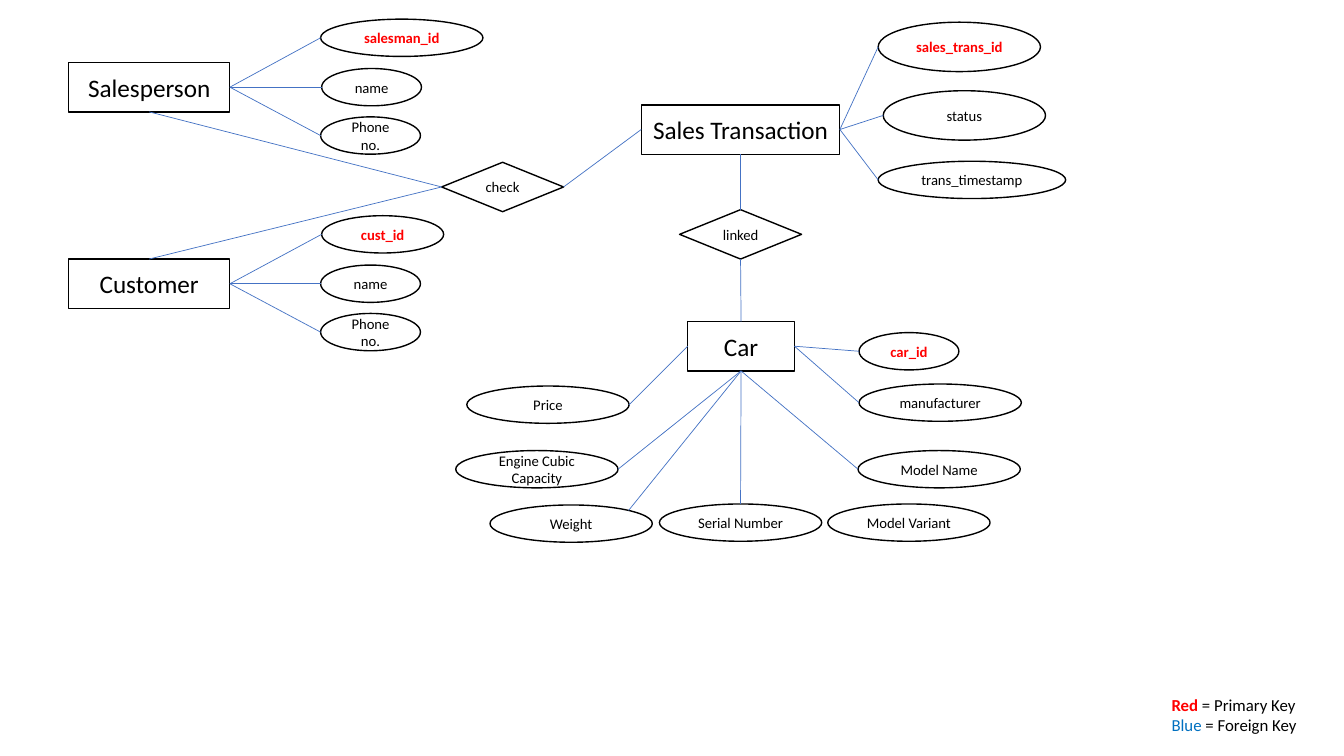
from pptx import Presentation
from pptx.dml.color import RGBColor
from pptx.enum.shapes import MSO_CONNECTOR, MSO_SHAPE
from pptx.enum.text import MSO_ANCHOR, PP_ALIGN
from pptx.util import Inches, Pt
from lxml import etree

RECT, OVAL = MSO_SHAPE.RECTANGLE, MSO_SHAPE.OVAL
DIAMOND = MSO_SHAPE.FLOWCHART_DECISION
STRAIGHT = MSO_CONNECTOR.STRAIGHT
CENTER, LEFT, MIDDLE = PP_ALIGN.CENTER, PP_ALIGN.LEFT, MSO_ANCHOR.MIDDLE
DML = "http://schemas.openxmlformats.org/drawingml/2006/main"

THEME = {
    "font": "Calibri", "entity": 18, "label": 10.5, "legend": 12,
    "ink": "000000", "paper": "FFFFFF", "link": "4472C4",
    "primary": "FF0000", "foreign": "0070C0",
    "border": 1, "thin": 0.5,
}

# Place of each link site as a share of width and height
SITES = {"top": (0.5, 0), "left": (0, 0.5), "bottom": (0.5, 1),
         "right": (1, 0.5), "corner": (0.854, 0.146)}
FOUR = {"top": 0, "left": 1, "bottom": 2, "right": 3}
EIGHT = {"top": 0, "left": 2, "bottom": 4, "right": 6, "corner": 7}

deck = Presentation()
deck.slide_width, deck.slide_height = Inches(13.33), Inches(7.5)
slide = deck.slides.add_slide(deck.slide_layouts[6])


def write(text, size="label", color="ink", bold=False, align=CENTER,
          kind=None, box=None, para=None):
    """Write a run into para, or into a new shape or text box; return the shape."""
    shape = None
    if para is None:
        place = [Inches(v) for v in box]
        if kind is None:
            shape = slide.shapes.add_textbox(*place)
        else:
            shape = slide.shapes.add_shape(kind, *place)
            shape.shadow.inherit = False
            shape.fill.solid()
            shape.fill.fore_color.rgb = RGBColor.from_string(THEME["paper"])
            shape.line.color.rgb = RGBColor.from_string(THEME["ink"])
            shape.line.width = Pt(THEME["border"])
            shape.text_frame.vertical_anchor = MIDDLE
        shape.text_frame.word_wrap = True
        para = shape.text_frame.paragraphs[0]
    para.alignment = align
    run = para.add_run()
    run.text = text
    run.font.name = THEME["font"]
    run.font.size = Pt(THEME[size])
    run.font.bold = bold
    run.font.color.rgb = RGBColor.from_string(THEME[color])
    return shape


def link(start, side, end, to):
    """Glue a thin line from one shape's site to another's."""
    (ax, ay), (bx, by) = [
        (int(s.left + s.width * SITES[p][0]), int(s.top + s.height * SITES[p][1]))
        for s, p in ((start, side), (end, to))]
    line = slide.shapes.add_connector(STRAIGHT, ax, ay, bx, by)
    line.begin_connect(start, FOUR[side])
    line.end_connect(end, 0)
    sites = EIGHT if end.auto_shape_type == OVAL else FOUR
    line._element.nvCxnSpPr.cNvCxnSpPr.endCxn.idx = sites[to]
    line.end_x, line.end_y = bx, by
    line.line.color.rgb = RGBColor.from_string(THEME["link"])
    line.line.width = Pt(THEME["thin"])
    etree.SubElement(line._element.spPr, f"{{{DML}}}effectLst")


# Entities
HIGH, LOW = 0.49, 0.37
entities = {}
for name, x, y, wide in [
    ("Car", 6.82, 3.19, 1.06),
    ("Salesperson", 0.68, 0.62, 1.6),
    ("Customer", 0.68, 2.57, 1.6),
    ("Sales Transaction", 6.36, 1.04, 1.97),
]:
    entities[name] = write(name, size="entity", kind=RECT, box=(x, y, wide, HIGH))

# Attributes: text, left, top, width, height, entity side, attribute side.
# The first of each entity is its primary key.
SMALL, MID, WIDE = 0.99, 1.21, 1.61
attributes = {
    "Salesperson": [
        ("salesman_id", 3.18, 0.19, WIDE, LOW, "right", "left"),
        ("name", 3.19, 0.68, SMALL, LOW, "right", "left"),
        ("Phone no.", 3.18, 1.16, SMALL, LOW, "right", "left"),
    ],
    "Customer": [
        ("cust_id", 3.19, 2.14, MID, LOW, "right", "left"),
        ("name", 3.18, 2.63, SMALL, LOW, "right", "left"),
        ("Phone no.", 3.18, 3.11, SMALL, LOW, "right", "left"),
    ],
    "Sales Transaction": [
        ("sales_trans_id", 8.71, 0.22, WIDE, HIGH, "right", "left"),
        ("status", 8.76, 0.9, WIDE, HIGH, "right", "left"),
        ("trans_timestamp", 8.71, 1.6, 1.86, LOW, "right", "left"),
    ],
    "Car": [
        ("car_id", 8.52, 3.3, SMALL, LOW, "right", "left"),
        ("manufacturer", 8.52, 3.81, WIDE, LOW, "right", "left"),
        ("Model Name", 8.51, 4.47, WIDE, LOW, "bottom", "left"),
        ("Model Variant", 8.21, 5, WIDE, LOW, None, None),
        ("Serial Number", 6.54, 5, WIDE, LOW, "bottom", "top"),
        ("Weight", 4.86, 5.01, WIDE, LOW, "bottom", "corner"),
        ("Engine Cubic Capacity", 4.52, 4.47, WIDE, LOW, "bottom", "right"),
        ("Price", 4.63, 3.83, WIDE, LOW, "left", "right"),
    ],
}
for owner, items in attributes.items():
    for i, (text, x, y, wide, high, side, to) in enumerate(items):
        key = i == 0
        oval = write(text, color="primary" if key else "ink", bold=key,
                     kind=OVAL, box=(x, y, wide, high))
        if side:
            link(entities[owner], side, oval, to)

# Relationships
check = write("check", kind=DIAMOND, box=(4.38, 1.61, MID, HIGH))
linked = write("linked", kind=DIAMOND, box=(6.74, 2.08, MID, HIGH))
sale = entities["Sales Transaction"]
link(entities["Salesperson"], "bottom", check, "left")
link(entities["Customer"], "top", check, "left")
link(check, "right", sale, "left")
link(sale, "bottom", linked, "top")
link(linked, "bottom", entities["Car"], "top")

# Legend
legend = write("Red", size="legend", color="primary", bold=True, align=LEFT,
               box=(11.61, 6.84, 1.7, 0.5))
frame = legend.text_frame
frame.margin_left = Inches(0.01)
first, second = frame.paragraphs[0], frame.add_paragraph()
for text, color, para in [(" = Primary Key", "ink", first),
                          ("Blue", "foreign", second),
                          (" = Foreign Key", "ink", second)]:
    write(text, size="legend", color=color, align=LEFT, para=para)

deck.save("out.pptx")
